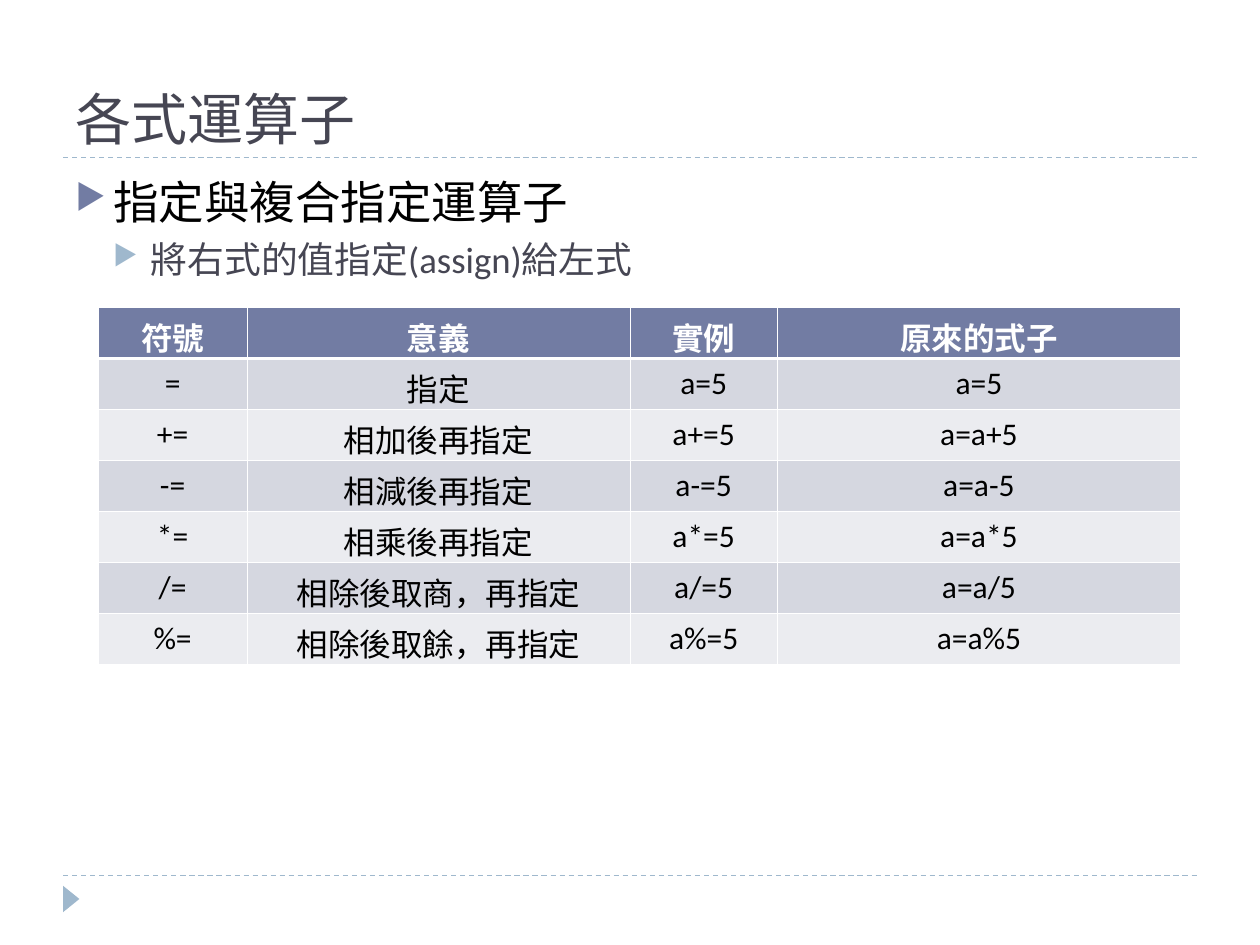
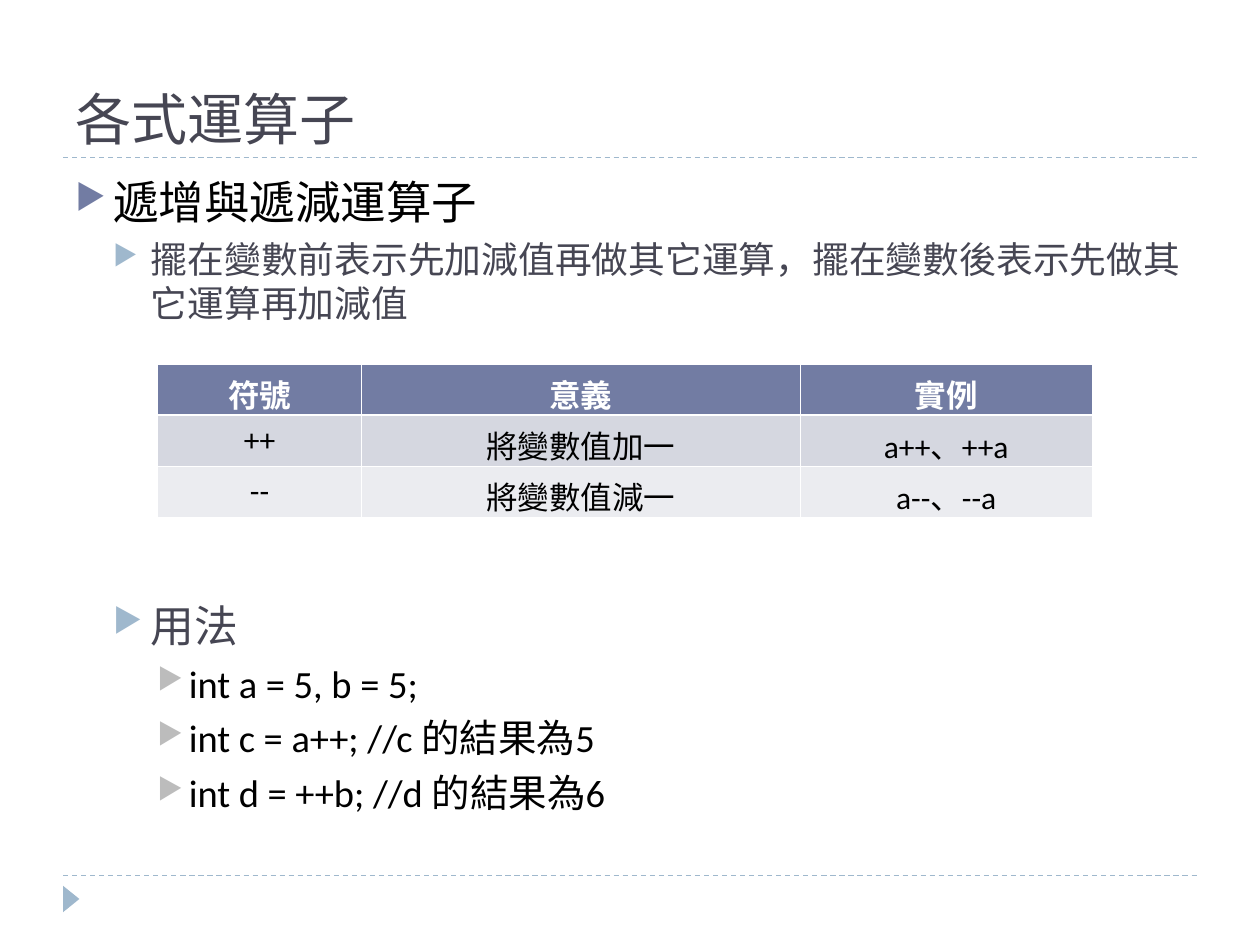
from lxml import etree
from pptx import Presentation
from pptx import util as u
from pptx.dml.color import RGBColor
from pptx.enum import dml, shapes, text
from pptx.oxml import ns

INK = RGBColor(0x46, 0x46, 0x53)
BLACK = RGBColor(0, 0, 0)
WHITE = RGBColor(0xFF, 0xFF, 0xFF)
INDIGO = RGBColor(0x72, 0x7C, 0xA3)
SKY = RGBColor(0x9F, 0xB8, 0xCD)
GREY = RGBColor(0xBC, 0xBC, 0xBC)
BANDS = [RGBColor(0xEB, 0xEC, 0xF0), RGBColor(0xD5, 0xD7, 0xE0)]
TITLE_FONT, BODY_FONT = "Roboto Slab", "Calibri"
THIN, THICK = 0.45, 1.47

LEVELS = [
    (0.3, 0.3, 6, INDIGO, BLACK),
    (0.6, 0.3, 5, SKY, INK),
    (0.9, 0.25, 5, GREY, BLACK),
]

SLIDES = [
    {
        "title": "各式運算子",
        "bodies": [
            (5.32, 21.6, [
                (0, 26, "指定與複合指定運算子"),
                (1, 21, "將右式的值指定(assign)給左式"),
            ]),
        ],
        "table_at": (1.56, 9.76),
        "columns": [2.36, 6.08, 2.34, 6.4],
        "cells": [
            ["符號", "意義", "實例", "原來的式子"],
            ["=", "指定", "a=5", "a=5"],
            ["+=", "相加後再指定", "a+=5", "a=a+5"],
            ["-=", "相減後再指定", "a-=5", "a=a-5"],
            ["*=", "相乘後再指定", "a*=5", "a=a*5"],
            ["/=", "相除後取商，再指定", "a/=5", "a=a/5"],
            ["%=", "相除後取餘，再指定", "a%=5", "a=a%5"],
        ],
    },
    {
        "title": "各式運算子",
        "bodies": [
            (5.32, 6, [
                (0, 26, "遞增與遞減運算子"),
                (1, 21, "擺在變數前表示先加減值再做其它運算，擺在變數後表示先做其它運算再加減值"),
            ]),
            (18.8, 8.12, [
                (1, 25, "用法"),
                (2, 22, "int a = 5, b = 5;"),
                (2, 22, "int c = a++; //c 的結果為5"),
                (2, 22, "int d = ++b; //d 的結果為6"),
            ]),
        ],
        "table_at": (2.5, 11.56),
        "columns": [3.24, 6.96, 4.64],
        "cells": [
            ["符號", "意義", "實例"],
            ["++", "將變數值加一", "a++、++a"],
            ["--", "將變數值減一", "a--、--a"],
        ],
    },
]

prs = Presentation()
prs.slide_width, prs.slide_height = u.Inches(10), u.Inches(7.5)
COL, ROW = prs.slide_width / 20, prs.slide_height / 30
TABLE_ROW = 1.62


def add_box(s, top, height, anchor):
    sp = s.shapes.add_textbox(int(COL), int(top * ROW), int(18 * COL), int(height * ROW))
    tf = sp.text_frame
    tf.word_wrap = True
    tf.vertical_anchor = anchor
    return tf


def add_run(p, words, size, color, font=BODY_FONT, bold=False):
    r = p.add_run()
    r.text = words
    r.font.size, r.font.name, r.font.bold = u.Pt(size), font, bold
    r.font.color.rgb = color


for content in SLIDES:
    s = prs.slides.add_slide(prs.slide_layouts[6])

    for y in (27.8, 5):
        rule = s.shapes.add_connector(
            shapes.MSO_CONNECTOR.STRAIGHT,
            int(COL), int(y * ROW), int(19 * COL), int(y * ROW))
        rule.line.color.rgb = SKY
        rule.line.width = u.Pt(0.75)
        rule.line.dash_style = dml.MSO_LINE.DASH
        etree.SubElement(rule._element.spPr, ns.qn("a:effectLst"))

    marker = s.shapes.add_shape(
        shapes.MSO_SHAPE.ISOSCELES_TRIANGLE,
        int(0.92 * COL), int(28.28 * ROW), int(0.42 * COL), int(0.52 * ROW))
    marker.rotation = 90
    marker.shadow.inherit = False
    marker.fill.solid()
    marker.fill.fore_color.rgb = SKY
    marker.line.fill.background()

    tf = add_box(s, 0.68, 4.32, text.MSO_ANCHOR.BOTTOM)
    add_run(tf.paragraphs[0], content["title"], 32, INK, TITLE_FONT)

    for top, height, lines in content["bodies"]:
        tf = add_box(s, top, height, text.MSO_ANCHOR.TOP)
        for i, (level, size, words) in enumerate(lines):
            indent, hang, before, bullet_color, color = LEVELS[level]
            p = tf.paragraphs[0] if i == 0 else tf.add_paragraph()
            pPr = p._p.get_or_add_pPr()
            pPr.set("marL", str(u.Inches(indent)))
            pPr.set("indent", str(-u.Inches(hang)))
            bu_clr = etree.SubElement(pPr, ns.qn("a:buClr"))
            etree.SubElement(bu_clr, ns.qn("a:srgbClr"), val=str(bullet_color))
            etree.SubElement(pPr, ns.qn("a:buSzPct"), val="76000")
            etree.SubElement(pPr, ns.qn("a:buChar"), char="▶")
            p.level = level
            p.space_before = u.Pt(before if i else 0)
            add_run(p, words, size, color)

    left, top = content["table_at"]
    columns, cells = content["columns"], content["cells"]
    table = s.shapes.add_table(
        len(cells), len(columns), int(left * COL), int(top * ROW),
        int(sum(columns) * COL), int(len(cells) * TABLE_ROW * ROW)).table
    table.horz_banding = False
    for c, width in enumerate(columns):
        table.columns[c].width = int(width * COL)
    for i, row in enumerate(cells):
        table.rows[i].height = int(TABLE_ROW * ROW)
        for c, words in enumerate(row):
            cell = table.cell(i, c)
            tcPr = cell._tc.get_or_add_tcPr()
            edges = {"lnL": THIN, "lnR": THIN,
                     "lnT": THICK if i == 1 else THIN,
                     "lnB": THICK if i == 0 else THIN}
            for edge, width in edges.items():
                ln = etree.SubElement(tcPr, ns.qn("a:" + edge), w=str(u.Pt(width)))
                fill = etree.SubElement(ln, ns.qn("a:solidFill"))
                etree.SubElement(fill, ns.qn("a:srgbClr"), val=str(WHITE))
            cell.fill.solid()
            cell.fill.fore_color.rgb = BANDS[i % 2] if i else INDIGO
            p = cell.text_frame.paragraphs[0]
            p.alignment = text.PP_ALIGN.CENTER
            add_run(p, words, 18, BLACK if i else WHITE, bold=i == 0)

prs.save("out.pptx")
